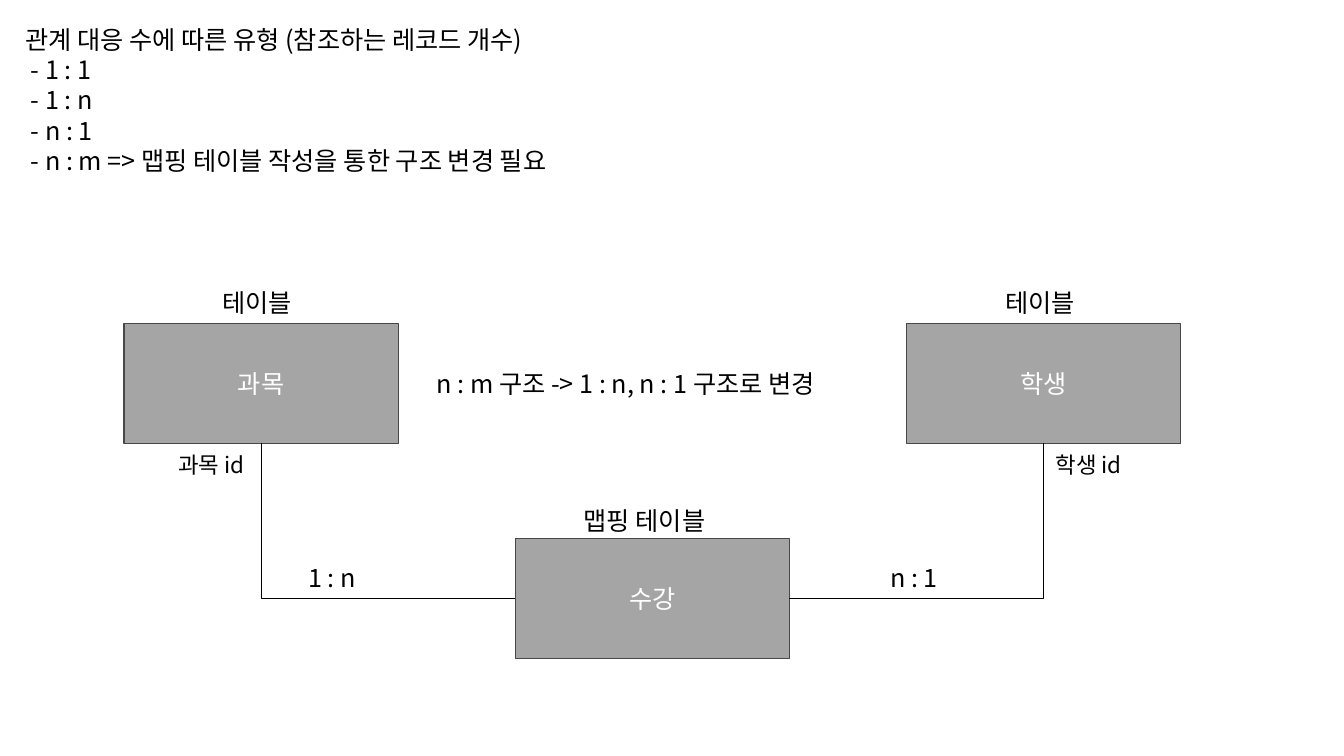
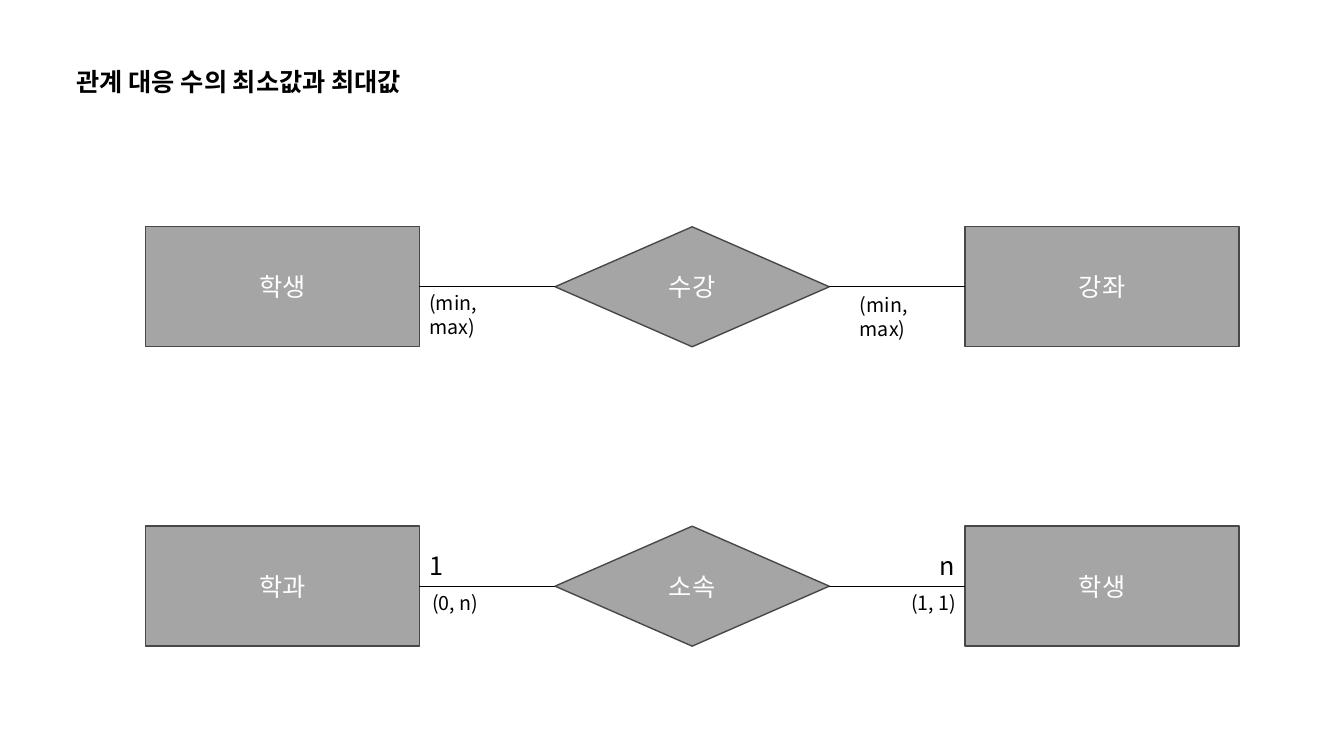
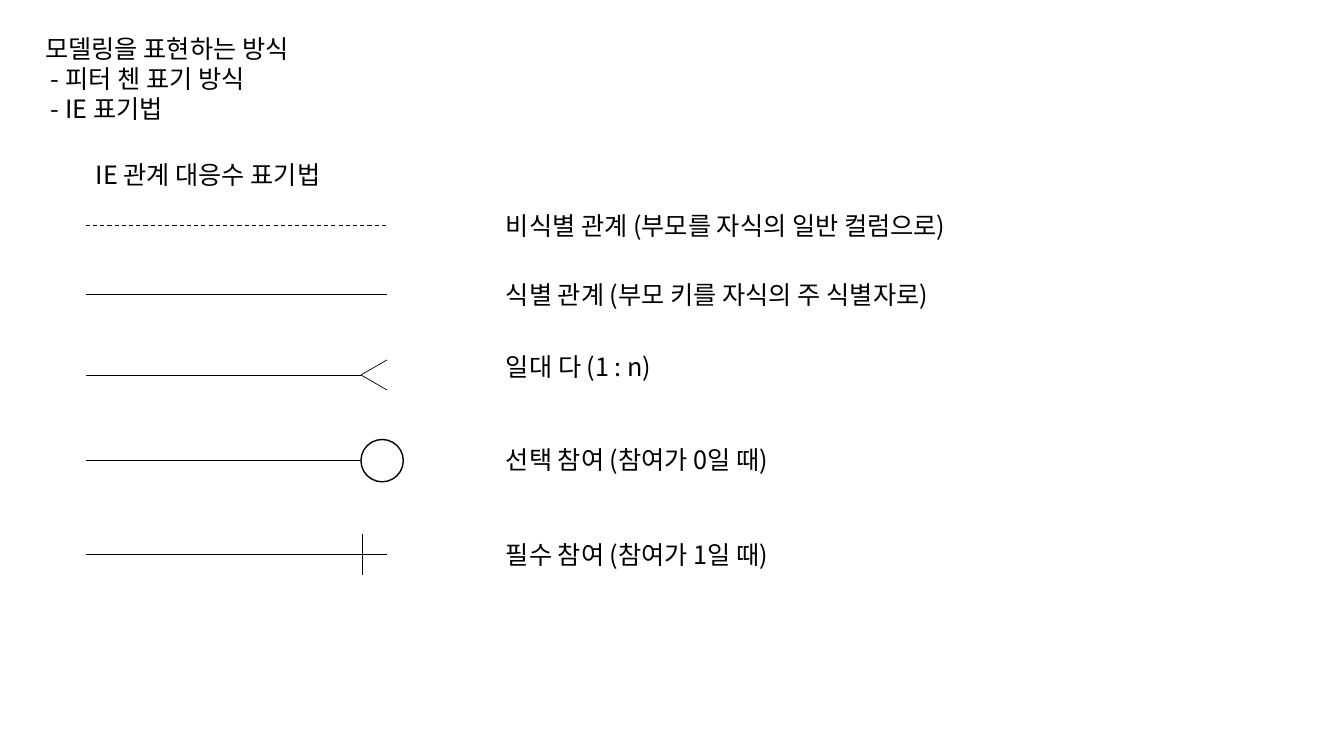
import pptx
import pptx.dml.color
import pptx.enum.dml
import pptx.enum.shapes
import pptx.enum.text
import pptx.oxml.ns
import pptx.oxml.xmlchemy
import pptx.util
from lxml import etree

Inches = pptx.util.Inches
Pt = pptx.util.Pt
RGBColor = pptx.dml.color.RGBColor
Shape = pptx.enum.shapes.MSO_SHAPE
Connector = pptx.enum.shapes.MSO_CONNECTOR
Align = pptx.enum.text.PP_ALIGN
Anchor = pptx.enum.text.MSO_ANCHOR
qn = pptx.oxml.ns.qn

BLACK = RGBColor(0x00, 0x00, 0x00)
WHITE = RGBColor(0xFF, 0xFF, 0xFF)
GRAY = RGBColor(0xA5, 0xA5, 0xA5)
DARK_GRAY = RGBColor(0x48, 0x48, 0x48)

FONT = "Noto Sans CJK KR"
LINE_RATIO = 1.2
NODE_WIDTH, NODE_HEIGHT = 2.72, 1.19
TOP, LEFT, BOTTOM, RIGHT = range(4)
TITLE_ONLY = 5


def write(shape, text, size=18, color=BLACK, bold=False, align=Align.LEFT, anchor=Anchor.TOP):
    frame = shape.text_frame
    frame.word_wrap = True
    frame.auto_size = pptx.enum.text.MSO_AUTO_SIZE.NONE
    frame.vertical_anchor = anchor
    frame.margin_left = frame.margin_right = Inches(0.1)
    frame.margin_top = frame.margin_bottom = Inches(0.05)
    for index, line in enumerate(text.split("\n")):
        paragraph = frame.add_paragraph() if index else frame.paragraphs[0]
        paragraph.alignment = align
        paragraph.line_spacing = Pt(size * LINE_RATIO)
        paragraph.space_before = paragraph.space_after = Pt(0)
        run = paragraph.add_run()
        run.text = line
        run.font.name = FONT
        run.font.size = Pt(size)
        run.font.bold = bold
        run.font.color.rgb = color
        east_asian = etree.SubElement(run.font._element, qn("a:ea"))
        east_asian.set("typeface", FONT)


def add_titled_slide(deck, text, left, top, width, bold=False):
    slide = deck.slides.add_slide(deck.slide_layouts[TITLE_ONLY])
    title = slide.shapes.title
    title.left, title.top = Inches(left), Inches(top)
    title.width, title.height = Inches(width), Inches(0.4)
    write(title, text, bold=bold)
    return slide


def add_label(slide, text, left, top, width, height=0.4, size=18):
    label = slide.shapes.add_textbox(Inches(left), Inches(top), Inches(width), Inches(height))
    write(label, text, size=size)


def add_outlined(slide, kind, left, top, width, height, fill, outline):
    shape = slide.shapes.add_shape(kind, Inches(left), Inches(top), Inches(width), Inches(height))
    shape.shadow.inherit = False
    shape.fill.solid()
    shape.fill.fore_color.rgb = fill
    shape.line.color.rgb = outline
    shape.line.width = Pt(1)
    return shape


def add_node(slide, text, left, top, kind=Shape.RECTANGLE):
    node = add_outlined(slide, kind, left, top, NODE_WIDTH, NODE_HEIGHT, GRAY, DARK_GRAY)
    write(node, text, color=WHITE, align=Align.CENTER, anchor=Anchor.MIDDLE)
    return node


def style_line(line, width=0.5):
    line.line.color.rgb = BLACK
    line.line.width = Pt(width)
    etree.SubElement(line._element.spPr, qn("a:effectLst"))


def add_line(slide, x1, y1, x2, y2, width=0.5):
    line = slide.shapes.add_connector(
        Connector.STRAIGHT, Inches(x1), Inches(y1), Inches(x2), Inches(y2))
    style_line(line, width)
    return line


def link(slide, start, start_site, end, end_site, bent=False):
    kind = Connector.ELBOW if bent else Connector.STRAIGHT
    line = slide.shapes.add_connector(kind, 0, 0, 0, 0)
    line.begin_connect(start, start_site)
    line.end_connect(end, end_site)
    if bent:
        line._element.spPr.find(qn("a:prstGeom")).set("prst", "bentConnector2")
    style_line(line)


def build_mapping_slide(deck):
    slide = add_titled_slide(deck, "관계 대응 수에 따른 유형 (참조하는 레코드 개수)", 0.15, 0.19, 6.2)
    add_label(slide, " - 1 : 1\n - 1 : n\n - n : 1\n - n : m => 맵핑 테이블 작성을 통한 구조 변경 필요",
              0.15, 0.49, 6.2, 1.32)
    subject = add_node(slide, "과목", 1.23, 3.21)
    student = add_node(slide, "학생", 8.99, 3.21)
    enrolment = add_node(slide, "수강", 5.11, 5.34)
    link(slide, enrolment, LEFT, subject, BOTTOM, bent=True)
    link(slide, enrolment, RIGHT, student, BOTTOM, bent=True)
    for text, left, top, width in (
        ("맵핑 테이블", 5.69, 4.96, 1.55),
        ("테이블", 2.11, 2.8, 0.96),
        ("테이블", 9.87, 2.8, 0.96),
        ("1 : n", 2.96, 5.53, 0.72),
        ("n : 1", 8.73, 5.53, 0.72),
        ("n : m 구조 -> 1 : n, n : 1 구조로 변경", 4.23, 3.6, 4.48),
    ):
        add_label(slide, text, left, top, width)
    for text, left in (("과목 id", 1.67), ("학생 id", 10.37)):
        add_label(slide, text, left, 4.43, 0.95, 0.37, size=16)


def build_min_max_slide(deck):
    slide = add_titled_slide(deck, "관계 대응 수의 최소값과 최대값", 0.66, 0.61, 3.84, bold=True)
    for top, names in ((2.25, ("학생", "수강", "강좌")), (5.22, ("학과", "소속", "학생"))):
        kinds = (Shape.RECTANGLE, Shape.DIAMOND, Shape.RECTANGLE)
        first, relation, second = (
            add_node(slide, name, 1.44 + column * 4.065, top, kind)
            for column, (name, kind) in enumerate(zip(names, kinds)))
        link(slide, first, RIGHT, relation, LEFT)
        link(slide, relation, RIGHT, second, LEFT)
    add_label(slide, "1", 4.16, 5.41, 0.36)
    add_label(slide, "n", 9.22, 5.41, 0.36)
    for text, left, top, width in (
        ("(min, max)", 4.16, 2.84, 1.1),
        ("(min, max)", 8.43, 2.86, 1.1),
        ("(0, n)", 4.19, 5.81, 0.7),
        ("(1, 1)", 8.94, 5.81, 0.7),
    ):
        add_label(slide, text, left, top, width, 0.34, size=14)


def build_notation_slide(deck):
    slide = add_titled_slide(deck, "모델링을 표현하는 방식", 0.35, 0.28, 2.91)
    add_label(slide, " - 피터 첸 표기 방식\n - IE 표기법", 0.35, 0.58, 2.91, 0.71)
    add_label(slide, "IE 관계 대응수 표기법", 0.85, 1.53, 2.69)

    start, mark, end = 0.85, 3.58, 3.84
    optional = add_line(slide, start, 2.24, end, 2.24, width=0.75)
    optional.line.dash_style = pptx.enum.dml.MSO_LINE.DASH
    for y, stop in ((2.92, end), (3.72, mark), (4.57, mark), (5.5, end)):
        add_line(slide, start, y, stop, y)
    for toe in (-0.15, 0.15):
        add_line(slide, mark, 3.72, end, 3.72 + toe)
    add_outlined(slide, Shape.OVAL, mark, 4.36, 0.42, 0.42, WHITE, BLACK)
    add_line(slide, 3.59, 5.3, 3.59, 5.7)

    for text, top, width in (
        ("비식별 관계 (부모를 자식의 일반 컬럼으로)", 2.04, 5.09),
        ("식별 관계 (부모 키를 자식의 주 식별자로)", 2.72, 4.93),
        ("일대 다 (1 : n)", 3.44, 1.81),
        ("선택 참여 (참여가 0일 때)", 4.36, 2.9),
        ("필수 참여 (참여가 1일 때)", 5.3, 2.9),
    ):
        add_label(slide, text, 4.92, top, width)


def main():
    deck = pptx.Presentation()
    deck.slide_width, deck.slide_height = Inches(13.33), Inches(7.5)
    build_mapping_slide(deck)
    build_min_max_slide(deck)
    build_notation_slide(deck)
    deck.save("out.pptx")


if __name__ == "__main__":
    main()
